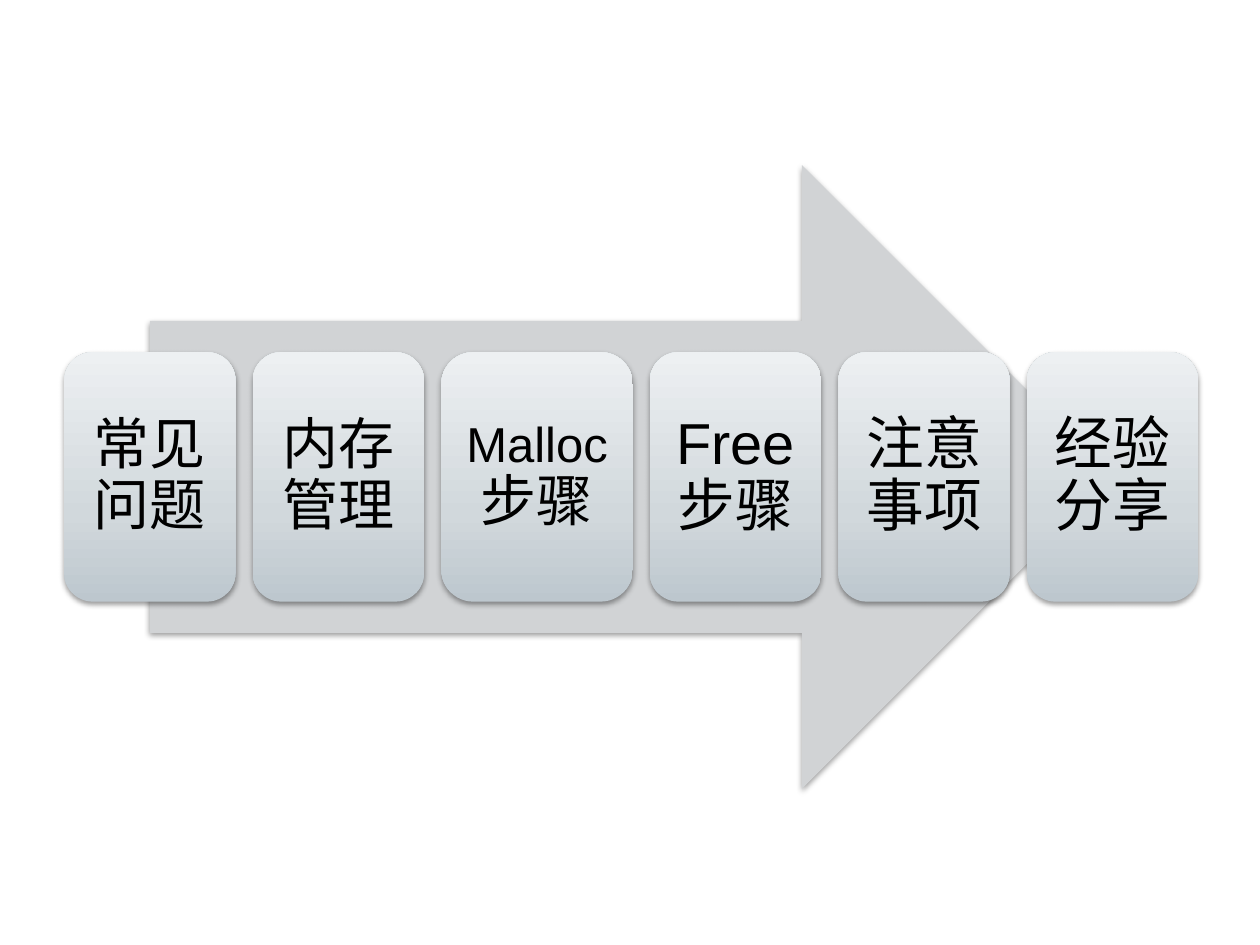
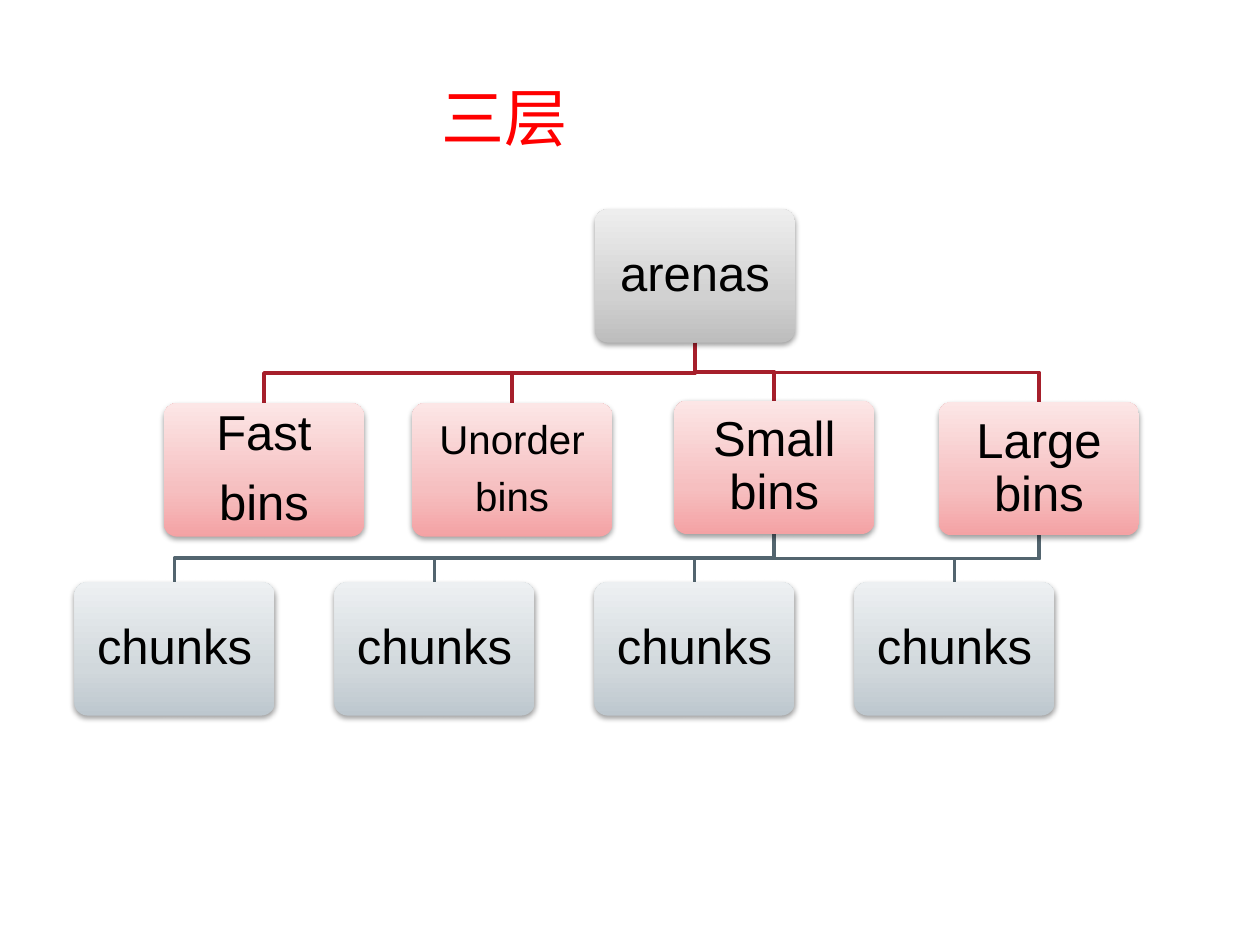
from pptx import Presentation
from pptx.dml.color import RGBColor
from pptx.enum.shapes import MSO_SHAPE
from pptx.enum.text import MSO_ANCHOR, PP_ALIGN
from pptx.oxml import parse_xml
from pptx.oxml.ns import nsdecls, qn
from pptx.util import Inches, Pt

ROUND = MSO_SHAPE.ROUNDED_RECTANGLE
ARROW = MSO_SHAPE.RIGHT_ARROW
MIDDLE = MSO_ANCHOR.MIDDLE
CENTER = PP_ALIGN.CENTER

LATIN = "Arial"
HAN = "Noto Sans CJK SC"
COLORS = {
    "text": "000000",
    "title": "FF0000",
    "arrow": "D1D3D5",
    "red": "A61F2B",
    "slate": "53656F",
}
FADES = {
    "gray": ("BDBDBD", "D1D1D1", "EEEEEE"),
    "rose": ("F4A2A4", "F6BFC0", "FCE6E6"),
    "blue": ("BDC7CE", "D1D8DC", "EDF0F2"),
}
STOPS = (0, 35, 100)
STEPS = [
    (1.36, 0.13, [("常见问题", 32, HAN)]),
    (1.36, 0.13, [("内存管理", 32, HAN)]),
    (1.52, 0.12, [("Malloc", 28, LATIN), ("步骤", 32, HAN)]),
    (1.36, 0.14, [("Free", 33, LATIN), ("步骤", 33, HAN)]),
    (1.36, 0.14, [("注意事项", 33, HAN)]),
    (1.36, 0.14, [("经验分享", 33, HAN)]),
]
BINS = [
    (0.71, 1.54, ["Fast", "bins"], 28),
    (2.68, 1.54, ["Unorder", "bins"], 23),
    (4.76, 1.52, ["Small bins"], 28),
    (6.86, 1.53, ["Large bins"], 28),
]
OWNERS = (2, 2, 3, 3)
NODE_W, NODE_H = 1.59, 1.06


def rgb(name):
    return RGBColor.from_string(COLORS[name])


def add_run(para, text, size, font, color="text"):
    run = para.add_run()
    run.text = text
    run.font.size = Pt(size)
    run.font.name = font
    run.font.color.rgb = rgb(color)
    props = run.font._element
    east = parse_xml(f'<a:ea {nsdecls("a")} typeface="{font}"/>')
    props.find(qn("a:latin")).addnext(east)


def set_frame(frame, inset):
    frame.word_wrap = True
    frame.vertical_anchor = MIDDLE
    frame.margin_left = frame.margin_right = Inches(inset)
    frame.margin_top = frame.margin_bottom = Inches(inset)


def add_shade(shape):
    shape.line.fill.background()
    shape._element.spPr.append(parse_xml(
        f'<a:effectLst {nsdecls("a")}>'
        '<a:outerShdw blurRad="40000" dist="20000" dir="5400000" rotWithShape="0">'
        '<a:srgbClr val="000000"><a:alpha val="38000"/></a:srgbClr>'
        '</a:outerShdw></a:effectLst>'))


def add_fade(shape, name):
    stops = "".join(
        f'<a:gs pos="{pos * 1000}"><a:srgbClr val="{color}"/></a:gs>'
        for pos, color in zip(STOPS, FADES[name]))
    shape._element.spPr.append(parse_xml(
        f'<a:gradFill {nsdecls("a")} rotWithShape="1"><a:gsLst>{stops}</a:gsLst>'
        '<a:lin ang="16200000" scaled="0"/></a:gradFill>'))


def add_card(slide, box, fade, paras, inset, round_by=None):
    card = slide.shapes.add_shape(ROUND, *map(Inches, box))
    if round_by is not None:
        card.adjustments[0] = round_by
    add_fade(card, fade)
    add_shade(card)
    frame = card.text_frame
    set_frame(frame, inset)
    for i, runs in enumerate(paras):
        para = frame.paragraphs[0] if i == 0 else frame.add_paragraph()
        para.alignment = CENTER
        para.line_spacing = 0.9
        para.space_after = Pt(0.35 * runs[0][1])
        for run in runs:
            add_run(para, *run)


def add_node(slide, spot, fade, lines, size=28):
    paras = [[(line, size, LATIN)] for line in lines]
    inset = 0.12 if size == 28 else 0.1
    add_card(slide, (*spot, NODE_W, NODE_H), fade, paras, inset, 0.1)


def add_link(slide, top, low, color):
    x1, y1 = top[0] + NODE_W / 2, top[1] + NODE_H
    x2, y2 = low[0] + NODE_W / 2, low[1]
    mid = (y1 + y2) / 2
    path = slide.shapes.build_freeform(Inches(x1), Inches(y1))
    bends = [(x1, mid), (x2, mid), (x2, y2)]
    path.add_line_segments(
        [(Inches(x), Inches(y)) for x, y in bends], close=False)
    link = path.convert_to_shape()
    link.fill.background()
    link.line.color.rgb = rgb(color)
    link.line.width = Pt(2)
    link.shadow.inherit = False


def add_flow(slide, box):
    left, top, width, height = box
    arrow = slide.shapes.add_shape(
        ARROW, Inches(left + 0.68), Inches(top),
        Inches(width * 0.85), Inches(height))
    arrow.fill.solid()
    arrow.fill.fore_color.rgb = rgb("arrow")
    add_shade(arrow)
    gap = (width - sum(step[0] for step in STEPS)) / (len(STEPS) - 1)
    x = left
    for wide, inset, runs in STEPS:
        card = (x, top + height * 0.3, wide, height * 0.4)
        add_card(slide, card, "blue", [runs], inset)
        x += wide + gap


def add_tree(slide, box):
    left, top, width, height = box
    root = (left + 4.13, top)
    bins = [(left + x, top + y) for x, y, _, _ in BINS]
    pitch = 6.19 / 3
    leaves = [(left + i * pitch, top + height - NODE_H)
              for i in range(len(OWNERS))]
    for spot in bins:
        add_link(slide, root, spot, "red")
    for owner, leaf in zip(OWNERS, leaves):
        add_link(slide, bins[owner], leaf, "slate")
    add_node(slide, root, "gray", ["arenas"])
    for spot, (_, _, lines, size) in zip(bins, BINS):
        add_node(slide, spot, "rose", lines, size)
    for leaf in leaves:
        add_node(slide, leaf, "blue", ["chunks"])


def add_title(slide, box, text):
    title = slide.shapes.title
    title.left, title.top, title.width, title.height = map(Inches, box)
    frame = title.text_frame
    set_frame(frame, 0.1)
    frame.margin_right = Inches(2.1)
    para = frame.paragraphs[0]
    para.alignment = CENTER
    add_run(para, text, 36, HAN, "title")


def main():
    deck = Presentation()
    deck.slide_width, deck.slide_height = Inches(10), Inches(7.5)
    bare, titled = deck.slide_layouts[6], deck.slide_layouts[5]
    add_flow(deck.slides.add_slide(bare), (0.51, 1.31, 9, 4.95))
    layers = deck.slides.add_slide(titled)
    add_title(layers, (0.5, 0.3, 9, 1.25), "三层")
    add_tree(layers, (0.59, 1.66, 8.45, 4.02))
    deck.save("out.pptx")


if __name__ == "__main__":
    main()
